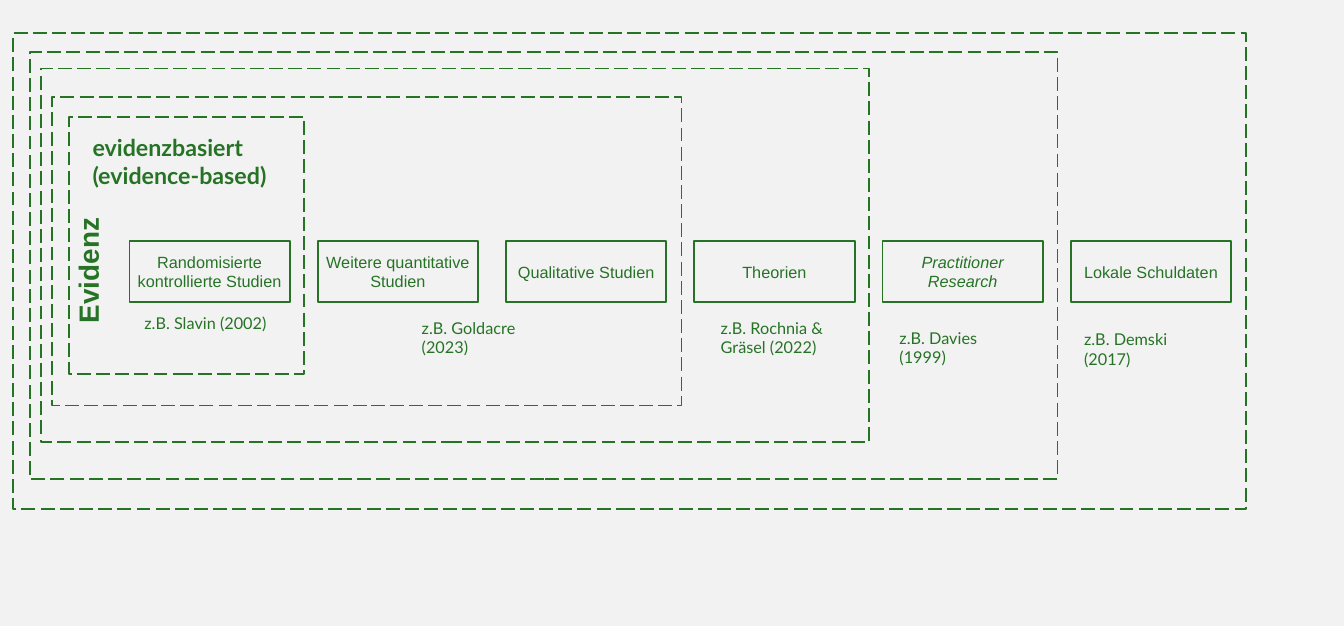
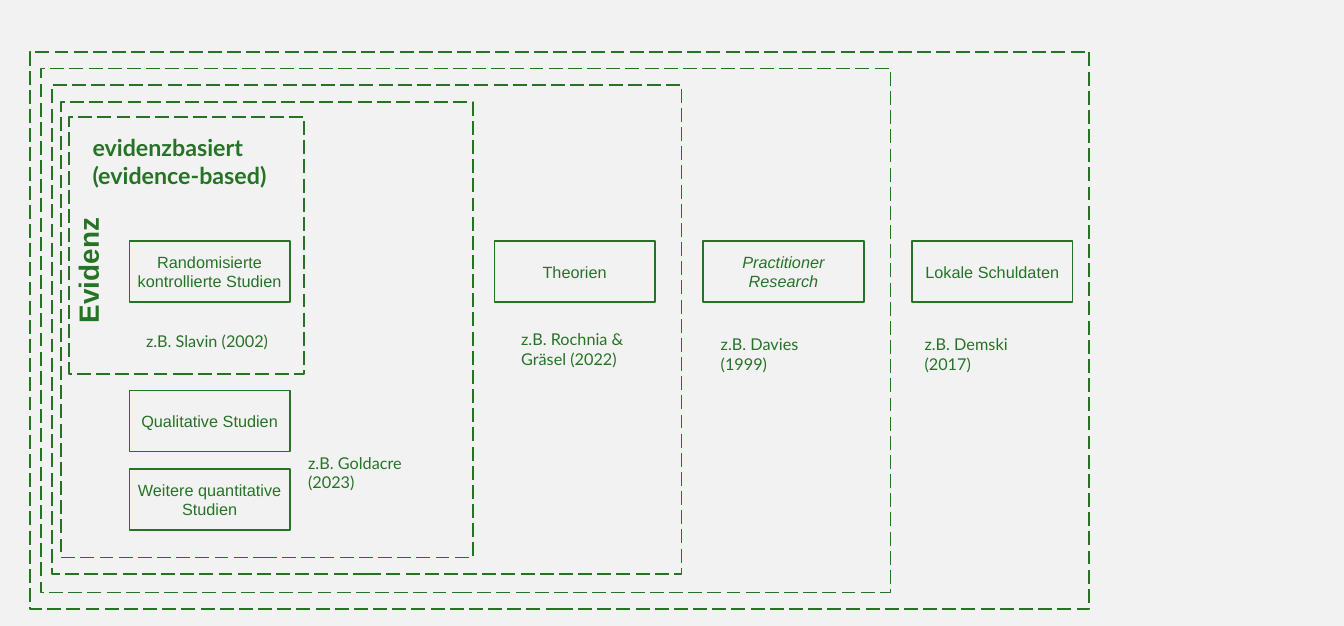
from pptx import Presentation
from pptx import util as u
from pptx.dml.color import RGBColor
from pptx.enum import dml, shapes, text

PX = 9144  # EMU per px, 100 px to the inch
GREEN, GREY = "267326", "F2F2F2"
BOX_FONT, NOTE_FONT = "Arial", "Lato"
BOX_W, BOX_H = 192, 73
ROW_X, ROW_Y = 155, 289

RCT = "Randomisierte kontrollierte Studien"
QUANTITATIVE = "Weitere quantitative Studien"
QUALITATIVE = "Qualitative Studien"
THEORIES = "Theorien"
PRACTITIONER = "Practitioner Research"
LOCAL_DATA = "Lokale Schuldaten"

SLAVIN = "z.B. Slavin (2002)"
GOLDACRE = "z.B. Goldacre (2023)"
ROCHNIA = "z.B. Rochnia &\nGräsel (2022)"
DAVIES = "z.B. Davies (1999)"
DEMSKI = "z.B. Demski (2017)"

INNER_FRAME = (83, 140, 281, 308)


def rgb(value):
    return RGBColor.from_string(value)


def px(*lengths):
    return [u.Emu(round(length * PX)) for length in lengths]


def write(shape, words, size, font, bold=False, italic=False, align=None):
    shape.text_frame.word_wrap = True
    shape.text_frame.text = words
    for para in shape.text_frame.paragraphs:
        para.alignment = align
        for span in para.runs:
            span.font.size = u.Pt(size)
            span.font.name = font
            span.font.bold = bold
            span.font.italic = italic
            span.font.color.rgb = rgb(GREEN)


def outline(page, left, top, width, height, dash=None):
    """Unfilled rectangle with a green line."""
    box = page.shapes.add_shape(
        shapes.MSO_SHAPE.RECTANGLE, *px(left, top, width, height))
    box.shadow.inherit = False
    box.fill.background()
    box.line.color.rgb = rgb(GREEN)
    box.line.width = u.Pt(1.5)
    if dash:
        box.line.dash_style = dash
    return box


def frame(page, left, top, width, height):
    outline(page, left, top, width, height, dml.MSO_LINE.LONG_DASH)


def study_box(page, left, top, words):
    box = outline(page, left, top, BOX_W, BOX_H)
    box.text_frame.vertical_anchor = text.MSO_ANCHOR.MIDDLE
    write(box, words, 14, BOX_FONT, italic=words == PRACTITIONER,
          align=text.PP_ALIGN.CENTER)


def label(page, left, top, width, height, words,
          size=14, font=NOTE_FONT, bold=False):
    box = page.shapes.add_textbox(*px(left, top, width, height))
    write(box, words, size, font, bold)
    box.text_frame.auto_size = text.MSO_AUTO_SIZE.SHAPE_TO_FIT_TEXT
    return box


def add_page(deck, frames, boxes, notes):
    page = deck.slides.add_slide(deck.slide_layouts[6])
    page.background.fill.solid()
    page.background.fill.fore_color.rgb = rgb(GREY)

    # Core shared by both slides
    study_box(page, ROW_X, ROW_Y, RCT)
    label(page, 32, 299, 146, 50, "Evidenz", 24, BOX_FONT, True).rotation = 270
    label(page, 101, 155, 260, 77, "evidenzbasiert\n(evidence-based)",
          20, bold=True)

    # Studies, sources and nested frames
    for box in boxes:
        study_box(page, *box)
    for note in notes:
        label(page, *note)
    for area in [INNER_FRAME] + frames:
        frame(page, *area)


def row(start, pitch, names):
    return [(start + i * pitch, ROW_Y, name) for i, name in enumerate(names)]


def column(start, pitch, names):
    return [(ROW_X, start + i * pitch, name) for i, name in enumerate(names)]


def main():
    deck = Presentation()
    deck.slide_width, deck.slide_height = px(1609, 750)

    # Slide 1: all studies in one row
    add_page(
        deck,
        frames=[(62, 116, 754, 370), (49, 82, 991, 448),
                (36, 62, 1230, 512), (16, 40, 1476, 570)],
        boxes=row(ROW_X + 225.4, 225.4, [QUANTITATIVE, QUALITATIVE, THEORIES,
                                         PRACTITIONER, LOCAL_DATA]),
        notes=[(163, 371, 173, 34, SLAVIN), (495, 376, 191, 34, GOLDACRE),
               (853, 376, 148, 57, ROCHNIA), (1067, 388, 170, 34, DAVIES),
               (1288, 390, 178, 34, DEMSKI)])

    # Slide 2: empirical studies stacked on the left
    add_page(
        deck,
        frames=[(73, 122, 493, 546), (62, 102, 754, 586),
                (49, 82, 1017, 628), (36, 62, 1268, 668)],
        boxes=column(468, 94, [QUALITATIVE, QUANTITATIVE])
        + row(592, 250, [THEORIES, PRACTITIONER, LOCAL_DATA]),
        notes=[(165, 392, 173, 34, SLAVIN), (359, 538, 191, 34, GOLDACRE),
               (614, 390, 148, 57, ROCHNIA), (853, 396, 170, 34, DAVIES),
               (1097, 396, 178, 34, DEMSKI)])

    deck.save("out.pptx")


if __name__ == "__main__":
    main()
